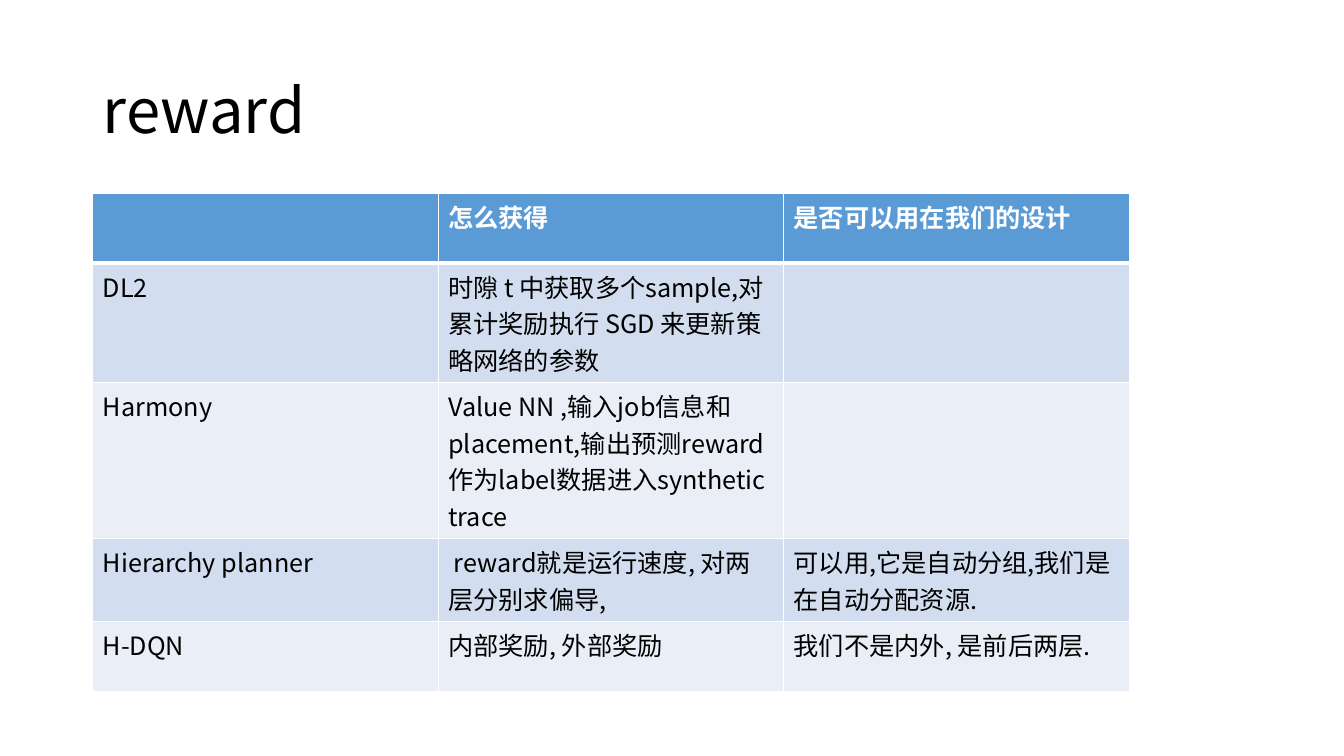
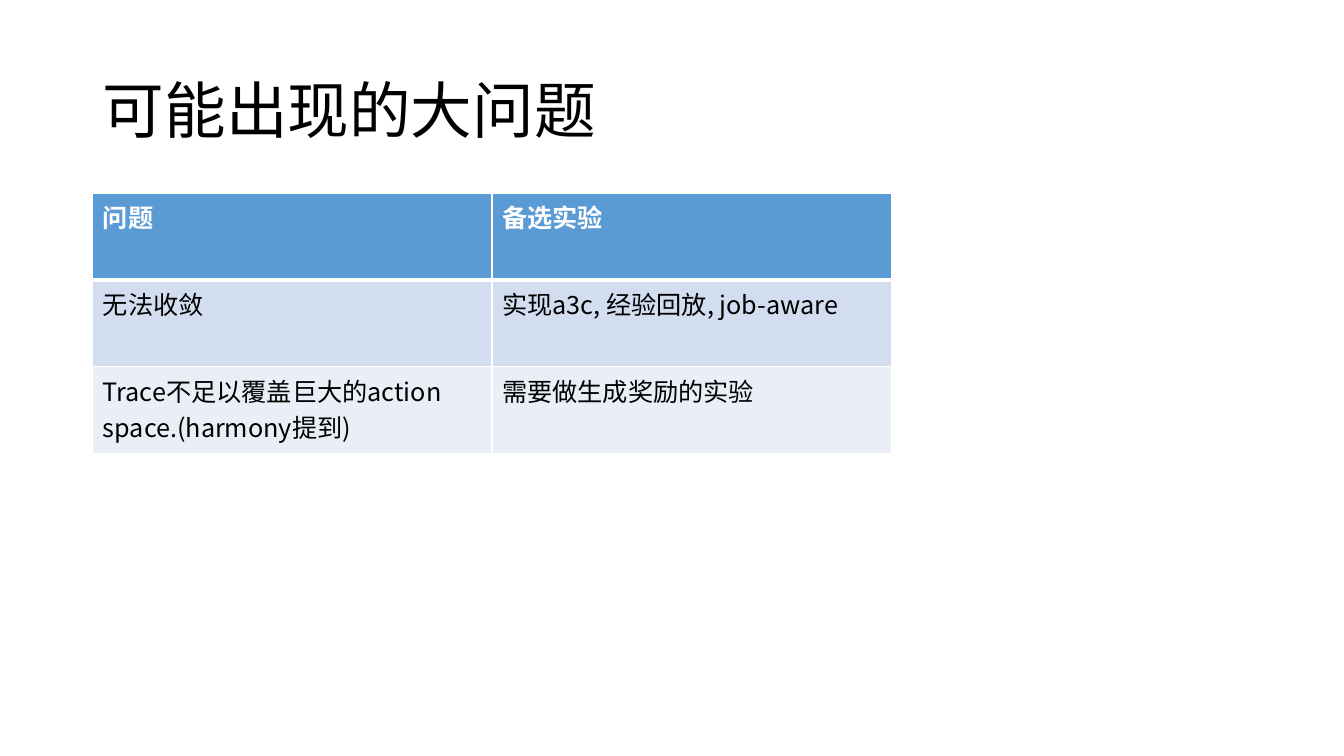
from dataclasses import dataclass

from lxml.etree import SubElement
from pptx import Presentation
from pptx.dml.color import RGBColor
from pptx.enum.text import MSO_ANCHOR, MSO_AUTO_SIZE, PP_ALIGN
from pptx.oxml.ns import qn
from pptx.util import Inches, Pt


@dataclass(frozen=True)
class Theme:
    font: str = "Noto Sans CJK SC"
    ink: str = "000000"
    paper: str = "FFFFFF"
    head: str = "5B9BD5"
    bands: tuple = ("D2DEEF", "EAEFF7")
    title: int = 44
    body: int = 18
    thin: int = 1
    thick: int = 3


class Deck:
    def __init__(self, theme):
        self.theme = theme
        self.show = Presentation()
        self.show.slide_width = Inches(13.33)
        self.show.slide_height = Inches(7.5)
        self.left = Inches(0.92)

    def style(self, para, size, color, bold=False):
        for run in para.runs:
            font = run.font
            font.size, font.bold = Pt(size), bold
            font.color.rgb = RGBColor.from_string(color)
            font.name = self.theme.font
            SubElement(font._element, qn("a:ea"), typeface=self.theme.font)

    def slide(self, title):
        self.page = self.show.slides.add_slide(self.show.slide_layouts[5])
        box = self.page.shapes.title
        box.left, box.top = self.left, Inches(0.4)
        box.width, box.height = Inches(11.5), Inches(1.45)
        frame = box.text_frame
        frame.text = title
        frame.auto_size = MSO_AUTO_SIZE.NONE
        frame.vertical_anchor = MSO_ANCHOR.MIDDLE
        para = frame.paragraphs[0]
        para.alignment, para.line_spacing = PP_ALIGN.LEFT, 0.9
        self.style(para, self.theme.title, self.theme.ink)

    def border(self, cell, base):
        props = cell._tc.get_or_add_tcPr()
        sides = {"lnL": self.theme.thin, "lnR": self.theme.thin,
                 "lnT": self.theme.thin, "lnB": base}
        for side, width in sides.items():
            line = SubElement(props, qn("a:" + side), w=str(Pt(width)))
            fill = SubElement(line, qn("a:solidFill"))
            SubElement(fill, qn("a:srgbClr"), val=self.theme.paper)

    def cell(self, cell, text, row, last):
        theme = self.theme
        head = row == 0
        cell.text = text
        self.style(cell.text_frame.paragraphs[0], theme.body,
                   theme.paper if head else theme.ink, head)
        self.border(cell, theme.thick if head else theme.thin)
        if row == 1:
            top = cell._tc.tcPr.find(qn("a:lnT"))
            top.set("w", str(Pt(theme.thick)))
        cell.fill.solid()
        color = theme.head if head else theme.bands[(row - 1) % 2]
        cell.fill.fore_color.rgb = RGBColor.from_string(color)

    def table(self, rows, width, step):
        count = len(rows)
        grid = self.page.shapes.add_table(
            count, len(rows[0]), self.left, Inches(1.92),
            Inches(width), Inches(step * count)).table
        for row, texts in enumerate(rows):
            for col, text in enumerate(texts):
                self.cell(grid.cell(row, col), text, row, count - 1)

    def save(self):
        self.show.save("out.pptx")


deck = Deck(Theme())

deck.slide("reward")
deck.table([
    ("", "怎么获得", "是否可以用在我们的设计"),
    ("DL2", "时隙 t 中获取多个sample,对累计奖励执行 SGD 来更新策略网络的参数", ""),
    ("Harmony", "Value NN ,输入job信息和placement,输出预测reward 作为label数据进入synthetic trace", ""),
    ("Hierarchy planner", " reward就是运行速度, 对两层分别求偏导,", "可以用,它是自动分组,我们是在自动分配资源."),
    ("H-DQN", "内部奖励, 外部奖励", "我们不是内外, 是前后两层."),
], 10.28, 0.69)

deck.slide("可能出现的大问题")
deck.table([
    ("问题", "备选实验"),
    ("无法收敛", "实现a3c, 经验回放, job-aware"),
    ("Trace不足以覆盖巨大的action space.(harmony提到)", "需要做生成奖励的实验"),
], 7.92, 0.86)

deck.save()
